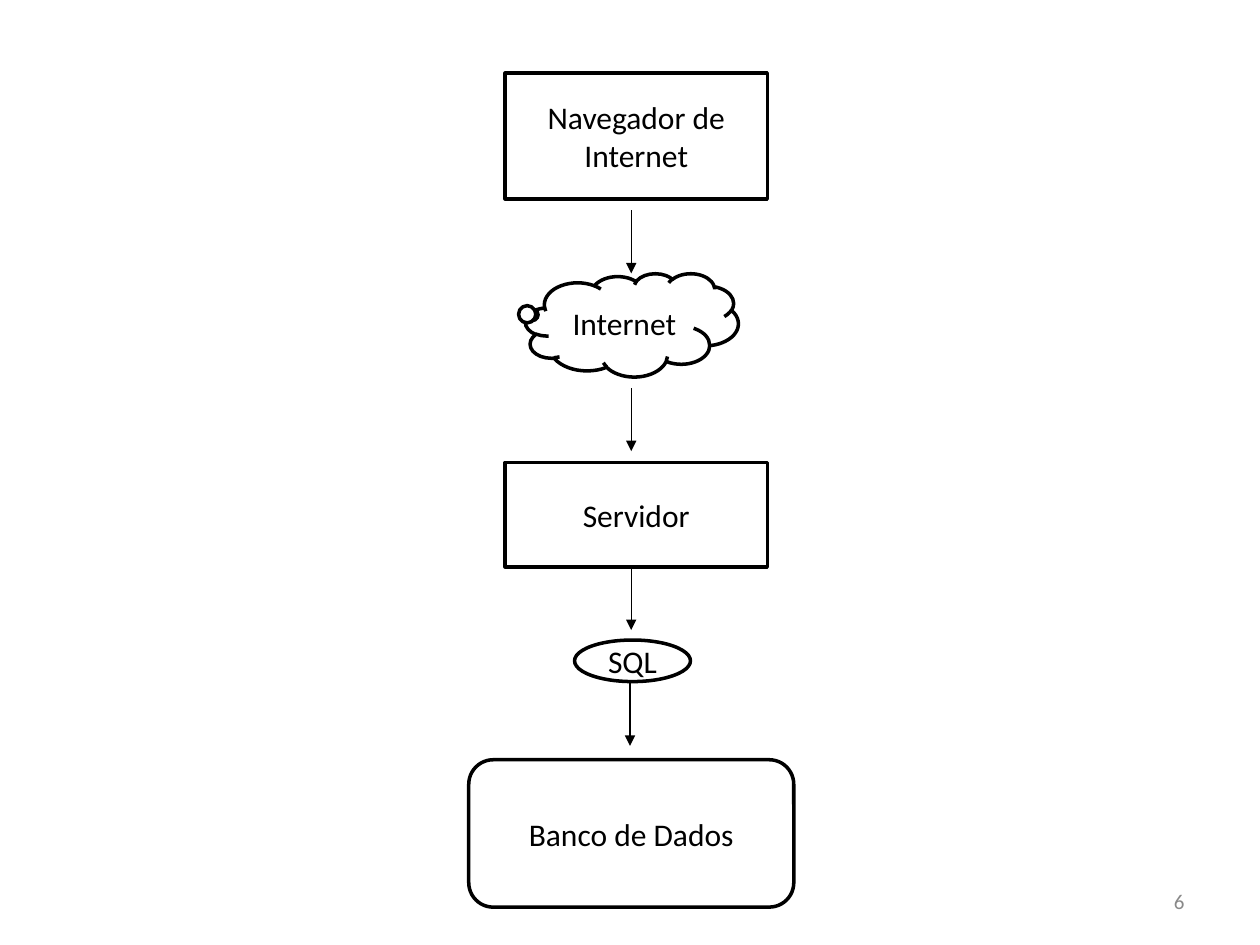
from lxml import etree
from pptx import Presentation
from pptx.dml.color import RGBColor
from pptx.enum.shapes import MSO_CONNECTOR, MSO_SHAPE
from pptx.enum.text import MSO_ANCHOR, PP_ALIGN
from pptx.oxml.ns import qn
from pptx.util import Inches, Pt

RECT = MSO_SHAPE.RECTANGLE
ROUND = MSO_SHAPE.FLOWCHART_ALTERNATE_PROCESS
CLOUD = MSO_SHAPE.CLOUD_CALLOUT
OVAL = MSO_SHAPE.OVAL
STRAIGHT = MSO_CONNECTOR.STRAIGHT
MIDDLE = MSO_ANCHOR.MIDDLE
CENTER = PP_ALIGN.CENTER
RIGHT = PP_ALIGN.RIGHT

BLACK = RGBColor(0x00, 0x00, 0x00)
WHITE = RGBColor(0xFF, 0xFF, 0xFF)
GRAY = RGBColor(0x89, 0x89, 0x89)

LABEL = {"name": "Calibri", "size": Pt(18)}
NUMBER = {"name": "Calibri", "size": Pt(12)}

# Kind, text, box (left, top, width, height), adjustments
NODES = [
    (RECT, "Navegador de Internet", (4.01, 0.58, 2.08, 1), ()),
    (RECT, "Servidor", (4.01, 3.67, 2.08, 0.83), ()),
    (ROUND, "Banco de Dados", (3.72, 6.03, 2.58, 1.17), ()),
    (CLOUD, "Internet", (4.17, 2.17, 1.69, 0.82), (-0.47, -0.1)),
    (OVAL, "SQL", (4.56, 5.08, 0.92, 0.33), ()),
]
# Start of each arrow (x, y)
STARTS = [(5.01, 1.67), (5.01, 3.08), (5.01, 4.5), (5, 5.42)]
DROP = 0.5


def write(shape, text, align, style, color):
    frame = shape.text_frame
    frame.word_wrap = True
    frame.vertical_anchor = MIDDLE
    para = frame.paragraphs[0]
    para.alignment = align
    run = para.add_run()
    run.text = text
    for key, value in style.items():
        setattr(run.font, key, value)
    run.font.color.rgb = color


def add_node(slide, kind, text, box, adjust):
    node = slide.shapes.add_shape(kind, *map(Inches, box))
    node.shadow.inherit = False
    node.fill.solid()
    node.fill.fore_color.rgb = WHITE
    node.line.color.rgb = BLACK
    node.line.width = Pt(2)
    for index, value in enumerate(adjust):
        node.adjustments[index] = value
    write(node, text, CENTER, LABEL, BLACK)


def add_arrow(slide, x, y):
    """Draw an arrow straight down from the given point."""
    arrow = slide.shapes.add_connector(
        STRAIGHT, Inches(x), Inches(y), Inches(x), Inches(y + DROP))
    arrow.line.color.rgb = BLACK
    arrow.line.width = Pt(0.75)
    etree.SubElement(arrow.line._get_or_add_ln(), qn("a:tailEnd"), type="triangle")
    etree.SubElement(arrow._element.spPr, qn("a:effectLst"))


def add_flow(slide):
    for node in NODES:
        add_node(slide, *node)
    for x, y in STARTS:
        add_arrow(slide, x, y)


def add_number(slide, text, box):
    number = slide.shapes.add_textbox(*map(Inches, box))
    write(number, text, RIGHT, NUMBER, GRAY)


def main():
    deck = Presentation()
    deck.slide_width = Inches(10)
    deck.slide_height = Inches(7.5)
    slide = deck.slides.add_slide(deck.slide_layouts[6])
    add_number(slide, "6", (7.17, 6.95, 2.33, 0.4))
    add_flow(slide)
    deck.save("out.pptx")


if __name__ == "__main__":
    main()
